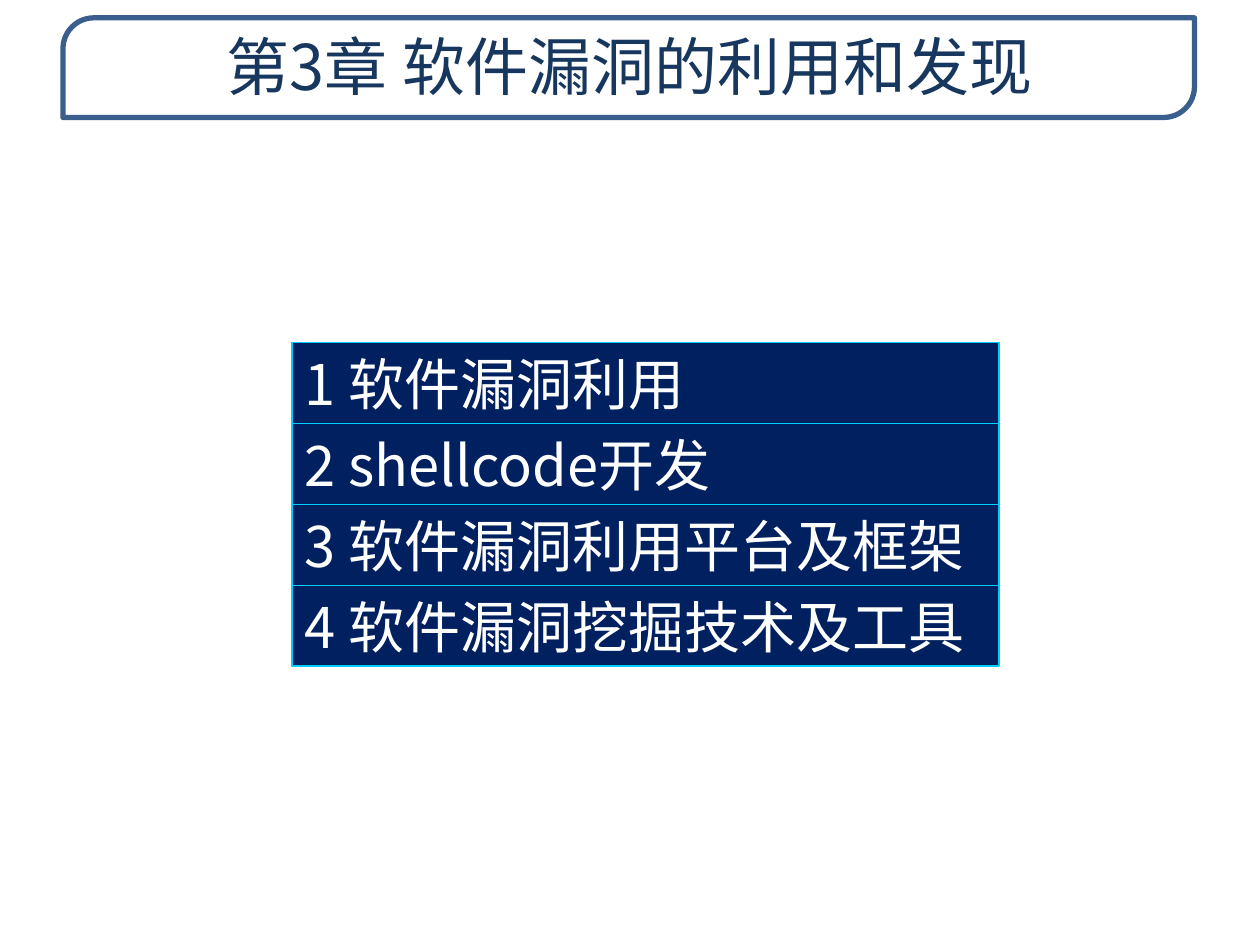
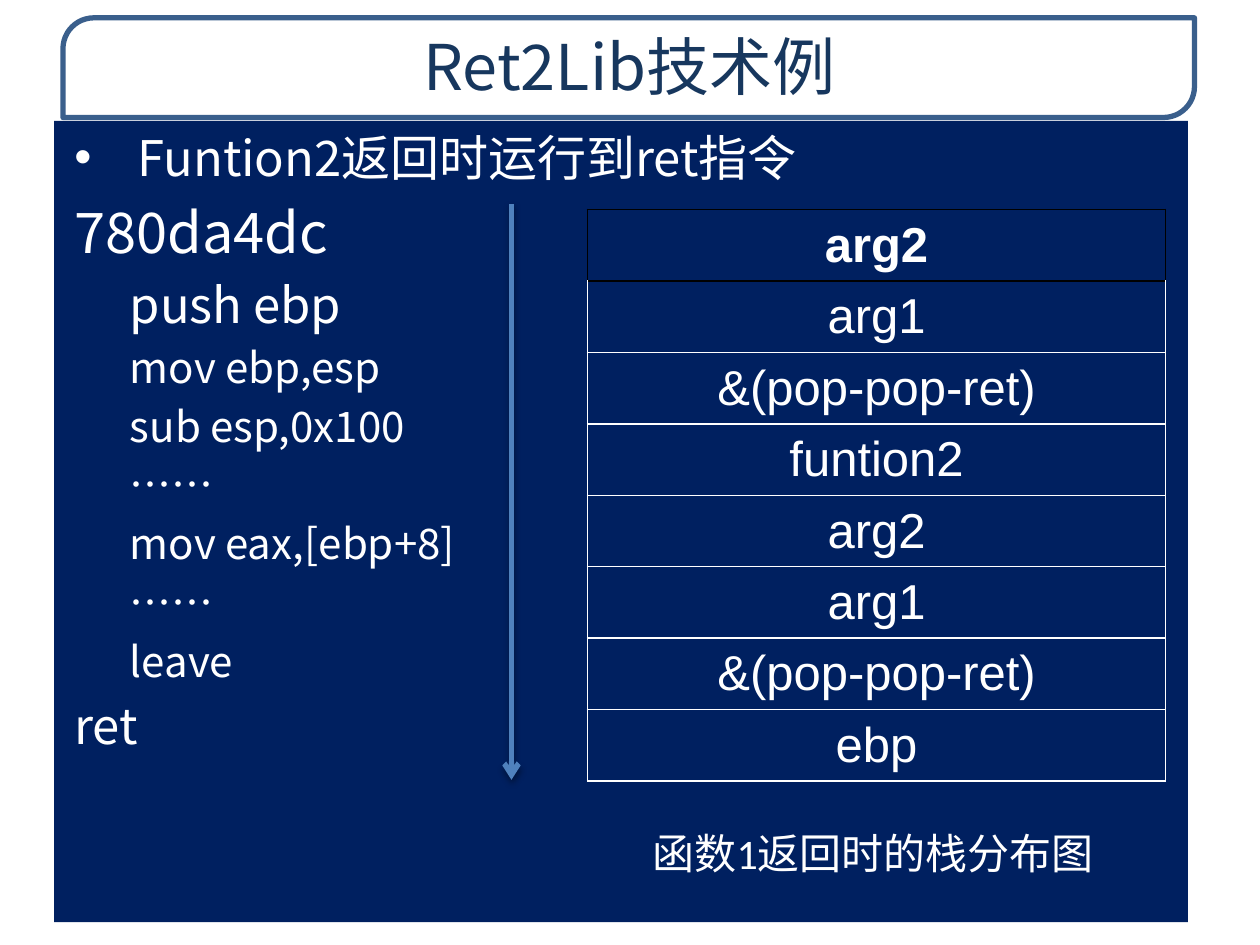
from lxml.etree import SubElement
from pptx import Presentation
from pptx.dml.color import RGBColor
from pptx.enum.shapes import MSO_CONNECTOR, MSO_SHAPE as SHP
from pptx.enum.text import MSO_ANCHOR as ANC, PP_ALIGN as AL
from pptx.oxml import parse_xml
from pptx.oxml.ns import nsdecls, qn
from pptx.util import Cm, Pt

COLORS = {"navy": "002060", "white": "FFFFFF", "black": "000000", "title": "17375E",
          "band": "3A5F8C", "cyan": "00CCFF", "arrow": "4F81BD"}
RGB = {name: RGBColor.from_string(value) for name, value in COLORS.items()}
CJK = "Noto Sans CJK SC"


def add_box(s, kind, x, y, w, h, fill="navy", line=None, width=0.75):
    """Add a flat filled shape, sizes in cm, with its text centred vertically."""
    sp = s.shapes.add_shape(kind, Cm(x), Cm(y), Cm(w), Cm(h))
    sp.shadow.inherit = False
    sp.fill.solid()
    sp.fill.fore_color.rgb = RGB[fill]
    if line:
        sp.line.color.rgb = RGB[line]
        sp.line.width = Pt(width)
    else:
        sp.line.fill.background()
    sp.text_frame.word_wrap = True
    sp.text_frame.vertical_anchor = ANC.MIDDLE
    return sp


def add_run(p, text, size, align=AL.LEFT, color="white", font=CJK, bold=False):
    """Add a run in the given Latin font, with CJK as its East Asian font."""
    p.alignment = align
    r = p.add_run()
    r.text = text
    r.font.size = Pt(size)
    r.font.name = font
    r.font.bold = bold
    r.font.color.rgb = RGB[color]
    ea = SubElement(r._r.rPr, qn("a:ea"))
    ea.set("typeface", CJK)


prs = Presentation()
prs.slide_width, prs.slide_height = Cm(25.4), Cm(19.05)

# Both slides: title inside a band with two rounded corners
slides = []
for title in ("第3章 软件漏洞的利用和发现", "Ret2Lib技术例"):
    s = prs.slides.add_slide(prs.slide_layouts[6])
    band = add_box(s, SHP.ROUND_2_DIAG_RECTANGLE, 1.27, 0.36, 22.81, 2.01, "white", "band", 3)
    band.adjustments[0], band.adjustments[1] = 0.31, 0
    alpha = SubElement(band._element.spPr.find(qn("a:solidFill"))[0], qn("a:alpha"))
    alpha.set("val", "85000")
    tf = s.shapes.add_textbox(Cm(1.3), Cm(0.36), Cm(22.78), Cm(1.93)).text_frame
    tf.word_wrap = True
    tf.vertical_anchor = ANC.MIDDLE
    add_run(tf.paragraphs[0], title, 36, AL.CENTER, "title")
    slides.append(s)
contents, example = slides

# Slide 1: chapter contents
sections = ["1 软件漏洞利用", "2 shellcode开发", "3 软件漏洞利用平台及框架", "4 软件漏洞挖掘技术及工具"]
for i, section in enumerate(sections):
    sp = add_box(contents, SHP.RECTANGLE, 5.89, 6.91 + i * 1.63, 14.25, 1.63, line="cyan")
    add_run(sp.text_frame.paragraphs[0], section, 32)

# Slide 2: code listing as (text, size, level)
code = [
    ("Funtion2返回时运行到ret指令", 28, 0),
    ("780da4dc", 32, 0),
    ("push ebp", 28, 1),
    ("mov ebp,esp", 24, 1),
    ("sub esp,0x100", 24, 1),
    ("……", 24, 1),
    ("mov eax,[ebp+8]", 24, 1),
    ("……", 24, 1),
    ("leave", 24, 1),
    ("ret", 28, 0),
]
body = add_box(example, SHP.RECTANGLE, 1.09, 2.44, 22.86, 16.15)
tf = body.text_frame
tf.vertical_anchor = ANC.TOP
tf.margin_left = tf.margin_right = Cm(0.41)
for i, (text, size, level) in enumerate(code):
    p = tf.add_paragraph() if i else tf.paragraphs[0]
    p.level = level
    p.line_spacing = Pt(1.2 * size)
    p.space_before = Pt(0.2 * size)
    pPr = p._p.get_or_add_pPr()
    pPr.set("marL", str(Cm(2.39 if level else 1.27)))
    pPr.set("indent", str(-Cm(1.27)))
    if i == 0:
        SubElement(pPr, qn("a:buFont")).set("typeface", "Arial")
        SubElement(pPr, qn("a:buChar")).set("char", "•")
    else:
        SubElement(pPr, qn("a:buNone"))
    add_run(p, text, size, AL.JUSTIFY)

# Stack layout; the top cell is bold with a black border
stack = ["arg2", "arg1", "&(pop-pop-ret)", "funtion2", "arg2", "arg1", "&(pop-pop-ret)", "ebp"]
row_h = 1.44
table = example.shapes.add_table(len(stack), 1, Cm(11.84), Cm(4.22), Cm(11.66),
                                 Cm(row_h * len(stack))).table
table.first_row = table.horz_banding = False
for i, text in enumerate(stack):
    table.rows[i].height = Cm(row_h)
    cell = table.cell(i, 0)
    cell.vertical_anchor = ANC.MIDDLE
    add_run(cell.text_frame.paragraphs[0], text, 28, AL.CENTER, font="Arial", bold=i == 0)
    tcPr = cell._tc.get_or_add_tcPr()
    for side in ("lnL", "lnR", "lnT", "lnB"):
        black = i == 0 or (i == 1 and side == "lnT")
        tcPr.append(parse_xml(
            f'<a:{side} {nsdecls("a")} w="12700"><a:solidFill>'
            f'<a:srgbClr val="{COLORS["black" if black else "white"]}"/>'
            f'</a:solidFill></a:{side}>'))
    cell.fill.solid()
    cell.fill.fore_color.rgb = RGB["navy"]

# Execution direction
arrow = example.shapes.add_connector(MSO_CONNECTOR.STRAIGHT, Cm(10.31), Cm(4.11),
                                     Cm(10.31), Cm(15.72))
arrow.line.color.rgb = RGB["arrow"]
arrow.line.width = Pt(3)
SubElement(arrow.line._get_or_add_ln(), qn("a:tailEnd")).set("type", "arrow")
arrow._element.spPr.append(parse_xml(
    f'<a:effectLst {nsdecls("a")}><a:outerShdw blurRad="{Pt(3.1)}" dist="{Pt(1.8)}" dir="5400000">'
    f'<a:srgbClr val="{COLORS["black"]}"><a:alpha val="35000"/></a:srgbClr>'
    '</a:outerShdw></a:effectLst>'))

caption = add_box(example, SHP.RECTANGLE, 11.51, 15.93, 12.19, 2.54)
add_run(caption.text_frame.paragraphs[0], "函数1返回时的栈分布图", 24, AL.CENTER, font="Calibri")

prs.save("out.pptx")
